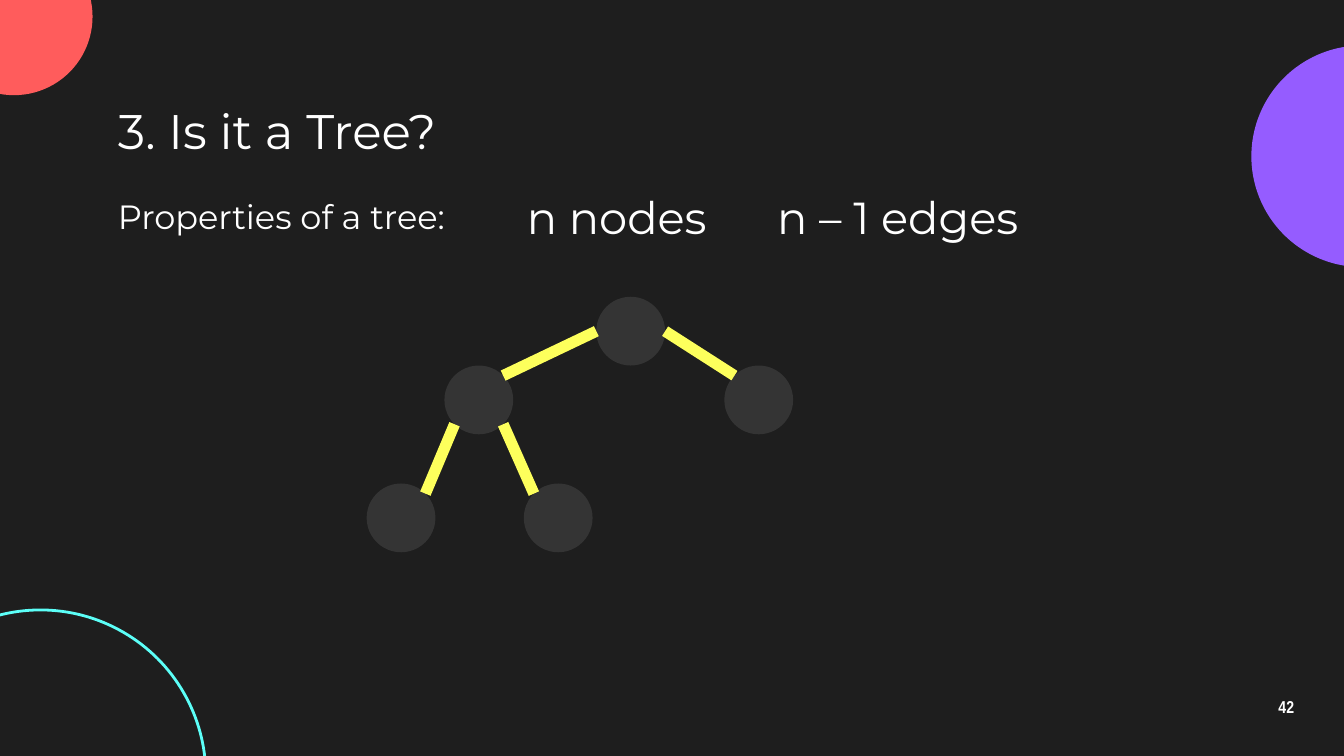
from math import cos, radians, sin

from lxml import etree
from pptx import Presentation
from pptx.dml.color import RGBColor
from pptx.enum.shapes import MSO_CONNECTOR, MSO_SHAPE
from pptx.enum.text import MSO_ANCHOR, MSO_AUTO_SIZE, PP_ALIGN
from pptx.oxml.ns import qn
from pptx.util import Cm, Pt

OVAL = MSO_SHAPE.OVAL
STRAIGHT = MSO_CONNECTOR.STRAIGHT
TOP, MIDDLE = MSO_ANCHOR.TOP, MSO_ANCHOR.MIDDLE
LEFT, CENTER = PP_ALIGN.LEFT, PP_ALIGN.CENTER
NO_AUTOFIT = MSO_AUTO_SIZE.NONE
TITLE_ONLY = 5

COLORS = {
    "background": "1E1E1E",
    "text": "FFFFFF",
    "node": "343434",
    "edge": "FDFF5C",
    "purple": "955CFF",
    "coral": "FF5C5C",
    "cyan": "5CFFF8",
}
BODY_FONT = "Montserrat"
NUMBER_FONT = "Arial Narrow"
NODE_SIZE = 1.3

# Node corners, relative to the tree's box
NODES = {
    "root": (4.34, 0),
    "left": (1.47, 1.3),
    "right": (6.76, 1.3),
    "left_left": (0, 3.53),
    "left_right": (2.97, 3.53),
}
# Parent, angle on its rim, child, angle on its rim
EDGES = [
    ("root", 180, "left", 45),
    ("root", 0, "right", 135),
    ("left", 225, "left_left", 45),
    ("left", 315, "left_right", 135),
]


def rgb(name):
    return RGBColor.from_string(COLORS[name])


def set_attrs(obj, values):
    for name, value in values.items():
        setattr(obj, name, value)


def write(sp, text, size, align=LEFT, anchor=TOP, font=BODY_FONT, bold=False, spacing=1.0):
    tf = sp.text_frame
    margins = {f"margin_{side}": Cm(0.25) for side in ("left", "right", "top", "bottom")}
    set_attrs(tf, {"word_wrap": True, "auto_size": NO_AUTOFIT,
                   "vertical_anchor": anchor, **margins})
    p = tf.paragraphs[0]
    set_attrs(p, {"alignment": align, "line_spacing": spacing})
    r = p.add_run()
    r.text = text
    set_attrs(r.font, {"name": font, "size": Pt(size), "bold": bold})
    r.font.color.rgb = rgb("text")


def add_text(slide, box, text, size, **formats):
    sp = slide.shapes.add_textbox(*map(Cm, box))
    write(sp, text, size, **formats)


def add_circle(slide, x, y, size, fill=None, line=None):
    sp = slide.shapes.add_shape(OVAL, Cm(x), Cm(y), Cm(size), Cm(size))
    sp.shadow.inherit = False
    if fill:
        sp.fill.solid()
        sp.fill.fore_color.rgb = rgb(fill)
    else:
        sp.fill.background()
    if line:
        sp.line.color.rgb = rgb(line)
        sp.line.width = Pt(1.5)
    else:
        sp.line.fill.background()


def add_edge(slide, start, end):
    line = slide.shapes.add_connector(STRAIGHT, *map(Cm, start + end))
    line.line.color.rgb = rgb("edge")
    line.line.width = Pt(6)
    etree.SubElement(line._element.spPr, qn("a:effectLst"))


def add_decoration(slide, box):
    x, y, w, h = box
    add_circle(slide, x + w - 1.75, y + 0.86, 4.19, fill="purple")
    add_circle(slide, x - 1.22, y - 1.17, 2.97, fill="coral")
    add_circle(slide, x - 2.36, y + h - 2.76, 6.25, line="cyan")
    add_text(slide, (x + w - 1.85, y + h - 1.33, 1.52, 0.86), "42", 9.2, align=CENTER,
             anchor=MIDDLE, font=NUMBER_FONT, bold=True, spacing=0.9)


def add_heading(slide, box):
    x, y, w, h = box
    title = slide.shapes.title
    set_attrs(title, {"left": Cm(x), "top": Cm(y), "width": Cm(w), "height": Cm(h)})
    write(title, "3. Is it a Tree?", 26, anchor=MIDDLE)


def add_properties(slide, box):
    x, y, w, h = box
    add_text(slide, (x, y + 0.13, w, h), "Properties of a tree:", 18)
    for i, text in enumerate(["n nodes", "n – 1 edges"]):
        add_text(slide, (x + 6.6 + i * 5.31, y, 6.15, h), text, 24, align=CENTER)


def add_tree(slide, box):
    x, y = box[:2]
    radius = NODE_SIZE / 2

    def rim(node, angle):
        dx, dy = NODES[node]
        a = radians(angle)
        return (x + dx + radius * (1 + cos(a)), y + dy + radius * (1 - sin(a)))

    for dx, dy in NODES.values():
        add_circle(slide, x + dx, y + dy, NODE_SIZE, fill="node")
    for parent, out_angle, child, in_angle in EDGES:
        add_edge(slide, rim(parent, out_angle), rim(child, in_angle))


def main():
    prs = Presentation()
    set_attrs(prs, {"slide_width": Cm(25.4), "slide_height": Cm(14.29)})
    slide = prs.slides.add_slide(prs.slide_layouts[TITLE_ONLY])
    slide.background.fill.solid()
    slide.background.fill.fore_color.rgb = rgb("background")

    # Corner circles and page number
    add_decoration(slide, (0, 0, 25.4, 14.29))
    # Title and the properties below it
    add_heading(slide, (1.98, 1.8, 22.15, 1.3))
    add_properties(slide, (1.98, 3.33, 20.12, 1.3))
    # Tree diagram
    add_tree(slide, (6.93, 5.61, 8.06, 4.83))

    prs.save("out.pptx")


if __name__ == "__main__":
    main()
